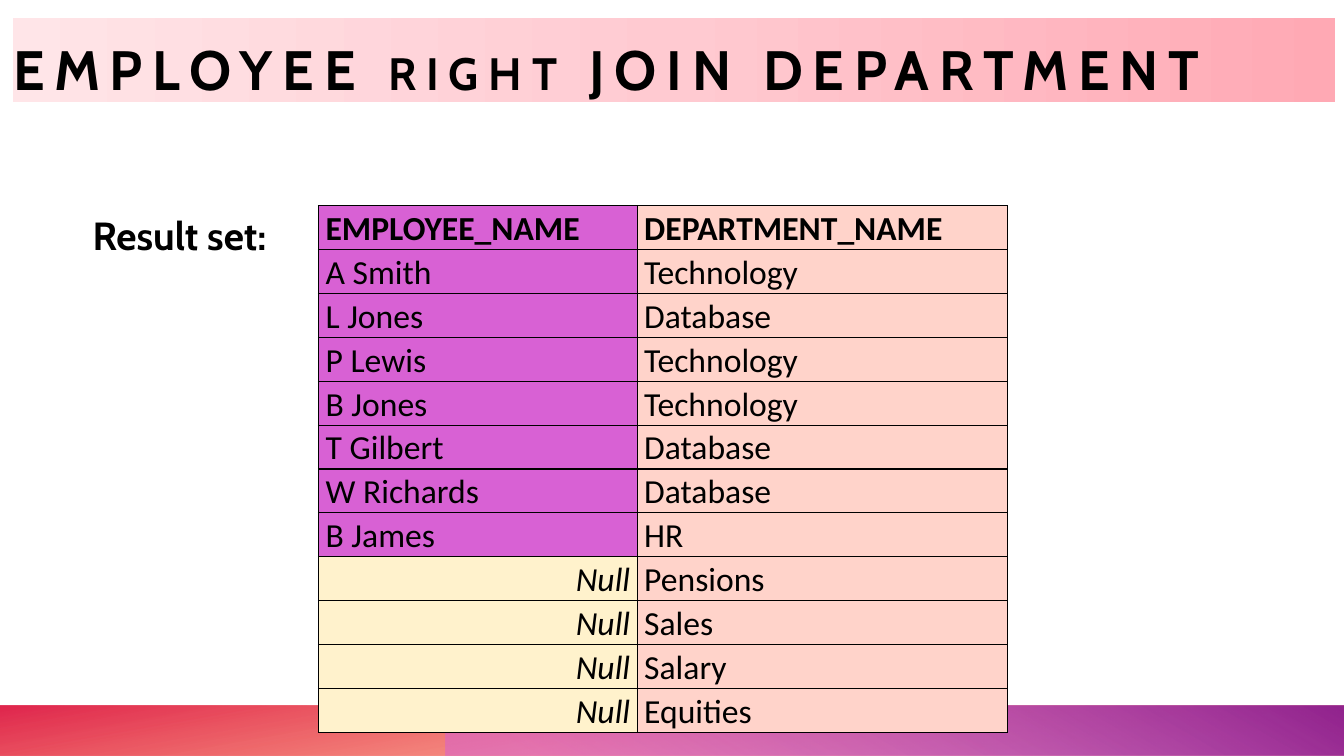
import pptx
import pptx.dml.color
import pptx.enum.shapes
import pptx.enum.text
import pptx.oxml
import pptx.oxml.ns
import pptx.util
from pptx.util import Inches

ANCHOR = pptx.enum.text.MSO_ANCHOR
ALIGN = pptx.enum.text.PP_ALIGN
NAMESPACE = pptx.oxml.ns.nsdecls("a")

BLACK = "000000"
PURPLE = "D861D4"
PEACH = "FFD3CA"
CREAM = "FFF2CC"

HEADERS = ("EMPLOYEE_NAME", "DEPARTMENT_NAME")
RESULTS = (
    ("A Smith", "Technology"),
    ("L Jones", "Database"),
    ("P Lewis", "Technology"),
    ("B Jones", "Technology"),
    ("T Gilbert", "Database"),
    ("W Richards", "Database"),
    ("B James", "HR"),
    ("Null", "Pensions"),
    ("Null", "Sales"),
    ("Null", "Salary"),
    ("Null", "Equities"),
)


def color(value):
    return pptx.dml.color.RGBColor.from_string(value)


def add_run(paragraph, text, font_name, size, bold=False, italic=False):
    run = paragraph.add_run()
    run.text = text
    run.font.name = font_name
    run.font.size = pptx.util.Pt(size)
    run.font.bold = bold
    run.font.italic = italic
    run.font.color.rgb = color(BLACK)
    return run


def set_gradient(shape, stops, angle):
    stop_xml = "".join(
        f'<a:gs pos="{position * 1000}"><a:srgbClr val="{value}">'
        f'<a:alpha val="{opacity * 1000}"/></a:srgbClr></a:gs>'
        for position, value, opacity in stops
    )
    gradient = pptx.oxml.parse_xml(
        f'<a:gradFill {NAMESPACE} rotWithShape="1"><a:gsLst>{stop_xml}</a:gsLst>'
        f'<a:lin ang="{angle * 60000}" scaled="0"/></a:gradFill>'
    )
    shape.fill.background()
    properties = shape.fill._xPr
    properties.replace(properties.find(pptx.oxml.ns.qn("a:noFill")), gradient)


def clear_margins(text_frame):
    text_frame.margin_left = text_frame.margin_right = 0
    text_frame.margin_top = text_frame.margin_bottom = 0
    text_frame.word_wrap = True
    text_frame.auto_size = pptx.enum.text.MSO_AUTO_SIZE.NONE


def add_footer_band(slide, left, width, stops, angle, rotation=0):
    band = slide.shapes.add_shape(
        pptx.enum.shapes.MSO_SHAPE.RECTANGLE,
        Inches(left), Inches(7), Inches(width), Inches(0.5),
    )
    band.shadow.inherit = False
    band.line.fill.background()
    band.rotation = rotation
    band._element.spPr.xfrm.set("flipH", "1")
    set_gradient(band, stops, angle)


def format_title(slide):
    title = slide.shapes.title
    title.left, title.top = Inches(0.13), Inches(0.18)
    title.width, title.height = Inches(13.11), Inches(0.83)
    set_gradient(
        title, ((0, "FFA9B4", 100), (50, "FFCAD1", 100), (100, "FFE5E8", 100)), 180
    )
    clear_margins(title.text_frame)
    title.text_frame.vertical_anchor = ANCHOR.BOTTOM
    paragraph = title.text_frame.paragraphs[0]
    paragraph.alignment = ALIGN.LEFT
    for text, size in (("EMPLOYEE ", 39.6), ("RIGHT", 32.4), (" JOIN DEPARTMENT", 39.6)):
        run = add_run(paragraph, text, "Cabin", size, bold=True)
        run.font._element.set("spc", "700")


def add_caption(slide, text):
    caption = slide.shapes.add_textbox(
        Inches(0.92), Inches(2), Inches(11.5), Inches(1.16)
    )
    clear_margins(caption.text_frame)
    paragraph = caption.text_frame.paragraphs[0]
    paragraph.line_spacing = 1.2
    add_run(paragraph, text, "Cabin", 28, bold=True)


def set_borders(cell):
    properties = cell._tc.get_or_add_tcPr()
    for index, side in enumerate(("lnL", "lnR", "lnT", "lnB")):
        border = pptx.oxml.parse_xml(
            f'<a:{side} {NAMESPACE} w="12700"><a:solidFill>'
            f'<a:srgbClr val="{BLACK}"/></a:solidFill></a:{side}>'
        )
        properties.insert(index, border)


def fill_cell(cell, text, fill, bold):
    is_null = text == "Null"
    cell.fill.solid()
    cell.fill.fore_color.rgb = color(CREAM if is_null else fill)
    cell.margin_left = cell.margin_right = Inches(0.07)
    cell.margin_top = cell.margin_bottom = 0
    cell.vertical_anchor = ANCHOR.MIDDLE if is_null else ANCHOR.BOTTOM
    paragraph = cell.text_frame.paragraphs[0]
    paragraph.alignment = ALIGN.RIGHT if is_null else ALIGN.LEFT
    paragraph.line_spacing = 1.07
    add_run(paragraph, text, "Calibri", 24, bold=bold, italic=is_null)
    set_borders(cell)


def add_result_table(slide):
    rows = (HEADERS,) + RESULTS
    row_height = 0.43
    table = slide.shapes.add_table(
        len(rows), len(HEADERS),
        Inches(3.16), Inches(2.04), Inches(6.83), Inches(row_height * len(rows)),
    ).table
    table.horz_banding = False
    for column, width in zip(table.columns, (3.16, 3.67)):
        column.width = Inches(width)
    for row_index, values in enumerate(rows):
        table.rows[row_index].height = Inches(row_height)
        for column_index, (text, fill) in enumerate(zip(values, (PURPLE, PEACH))):
            fill_cell(table.cell(row_index, column_index), text, fill, row_index == 0)


def main():
    presentation = pptx.Presentation()
    presentation.slide_width = Inches(13.33)
    presentation.slide_height = Inches(7.5)
    slide = presentation.slides.add_slide(presentation.slide_layouts[5])
    add_footer_band(
        slide, 0, 13.33, ((14, "FE4A00", 28), (100, "DA002F", 85)), 100, rotation=180
    )
    add_footer_band(slide, 4.42, 8.92, ((9, PURPLE, 55), (99, "92248E", 100)), 240)
    format_title(slide)
    add_caption(slide, "Result set:")
    add_result_table(slide)
    presentation.save("out.pptx")


if __name__ == "__main__":
    main()
